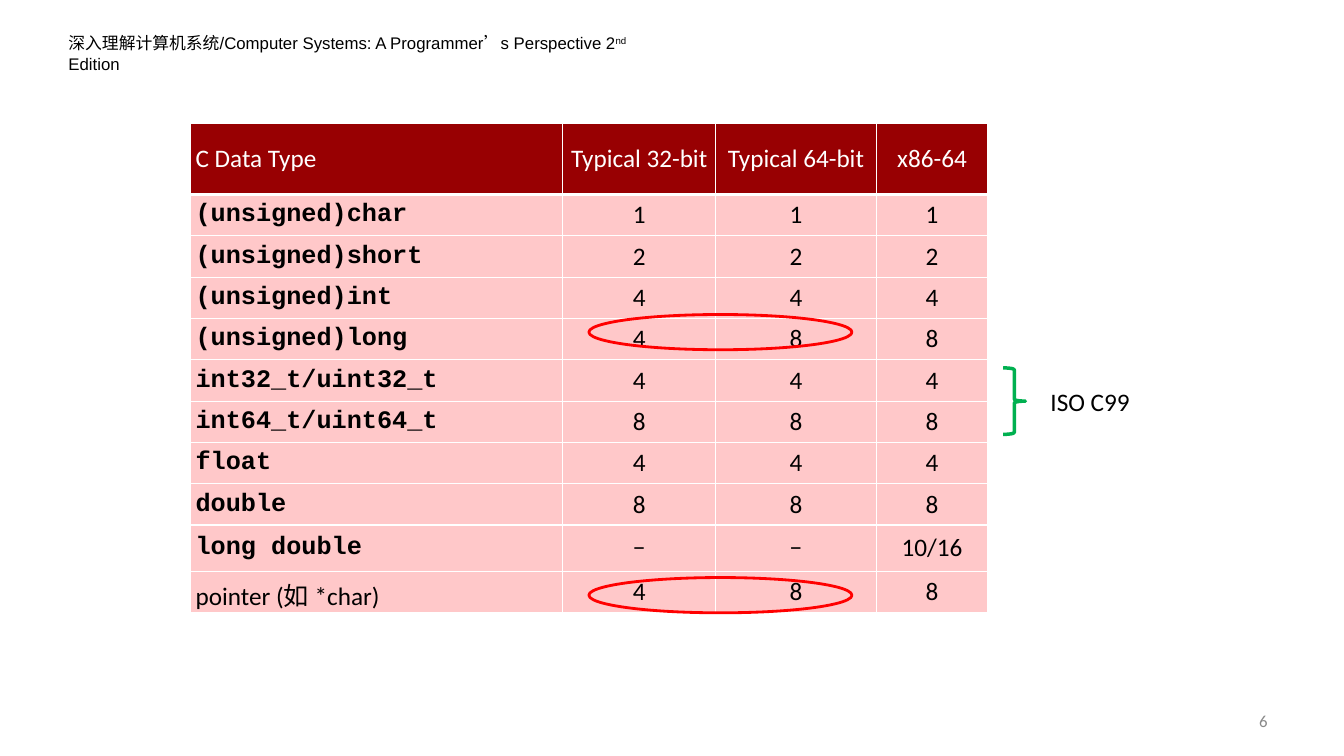
from lxml import etree
from pptx import Presentation
from pptx.dml.color import RGBColor
from pptx.enum.shapes import MSO_SHAPE
from pptx.enum.text import MSO_ANCHOR, PP_ALIGN
from pptx.oxml.ns import qn
from pptx.util import Inches, Pt

LEFT, CENTER, RIGHT = PP_ALIGN.LEFT, PP_ALIGN.CENTER, PP_ALIGN.RIGHT
MIDDLE, TOP = MSO_ANCHOR.MIDDLE, MSO_ANCHOR.TOP
OVAL, BRACE = MSO_SHAPE.OVAL, MSO_SHAPE.RIGHT_BRACE

BLACK = RGBColor(0x00, 0x00, 0x00)
WHITE = RGBColor(0xFF, 0xFF, 0xFF)
GRAY = RGBColor(0x89, 0x89, 0x89)
DARK_RED = RGBColor(0x98, 0x00, 0x02)
PINK = RGBColor(0xFF, 0xC8, 0xC9)
RED = RGBColor(0xFF, 0x00, 0x00)
GREEN = RGBColor(0x00, 0xB0, 0x50)

presentation = Presentation()
presentation.slide_width = Inches(13.33)
presentation.slide_height = Inches(7.5)
slide = presentation.slides.add_slide(presentation.slide_layouts[6])


def write(frame, text, size=18, font="Calibri", color=BLACK, bold=False,
          align=LEFT, superscript=False):
    """Append one formatted run to the first paragraph of a text frame."""
    frame.word_wrap = True
    paragraph = frame.paragraphs[0]
    paragraph.alignment = align
    run = paragraph.add_run()
    run.text = text
    run.font.size, run.font.name, run.font.bold = Pt(size), font, bold
    run.font.color.rgb = color
    properties = run.font._element
    properties.set("lang", "zh-CN")
    if superscript:
        properties.set("baseline", "30000")


def draw_border(cell, side, width):
    """Draw one white edge of a table cell."""
    properties = cell._tc.get_or_add_tcPr()
    line = etree.SubElement(properties, qn(f"a:{side}"), w=str(Pt(width)))
    fill = etree.SubElement(line, qn("a:solidFill"))
    etree.SubElement(fill, qn("a:srgbClr"), val=str(WHITE))


# Book title, side label and slide number
title, iso_label, page_number = [
    slide.shapes.add_textbox(*map(Inches, box)).text_frame
    for box in ((0.58, 0.28, 6.28, 0.3), (10.32, 3.78, 1.58, 0.4),
                (9.56, 6.95, 3.11, 0.4))
]
write(title, "深入理解计算机系统/Computer Systems: A Programmer’s Perspective 2",
      size=12, font="Arial")
write(title, "nd", size=12, font="Arial", superscript=True)
write(title, " Edition", size=12, font="Arial")
write(iso_label, "ISO C99")
page_number.vertical_anchor = MIDDLE
write(page_number, "6", size=12, color=GRAY, align=RIGHT)

# Data type sizes
rows = [
    ("C Data Type", "Typical 32-bit", "Typical 64-bit", "x86-64"),
    ("(unsigned)char", "1", "1", "1"),
    ("(unsigned)short", "2", "2", "2"),
    ("(unsigned)int", "4", "4", "4"),
    ("(unsigned)long", "4", "8", "8"),
    ("int32_t/uint32_t", "4", "4", "4"),
    ("int64_t/uint64_t", "8", "8", "8"),
    ("float", "4", "4", "4"),
    ("double", "8", "8", "8"),
    ("long double", "−", "−", "10/16"),
    ("pointer (如 *char)", "4", "8", "8"),
]
column_widths = [3.69, 1.52, 1.59, 1.11]
row_heights = [0.71] + [0.41] * 8 + [0.46, 0.41]
last_row = len(rows) - 1

table = slide.shapes.add_table(
    len(rows), len(column_widths), Inches(1.89), Inches(1.22),
    Inches(sum(column_widths)), Inches(sum(row_heights))).table
table.horz_banding = False
for column, width in zip(table.columns, column_widths):
    column.width = Inches(width)
for row, height in zip(table.rows, row_heights):
    row.height = Inches(height)

for row_index, values in enumerate(rows):
    is_header = row_index == 0
    for column_index, value in enumerate(values):
        cell = table.cell(row_index, column_index)
        cell.vertical_anchor = MIDDLE
        cell.margin_left = cell.margin_right = Inches(0.05)
        cell.margin_top = cell.margin_bottom = Inches(0.05)
        for side in ("lnL", "lnR", "lnT", "lnB"):
            is_header_rule = (row_index, side) in ((0, "lnB"), (1, "lnT"))
            draw_border(cell, side, 3 if is_header_rule else 1)
        cell.fill.solid()
        cell.fill.fore_color.rgb = DARK_RED if is_header else PINK
        is_code = column_index == 0 and 0 < row_index < last_row
        write(cell.text_frame, value, bold=is_code,
              font="Courier New" if is_code else "Calibri",
              color=WHITE if is_header else BLACK,
              align=CENTER if column_index else LEFT)

# Ellipses around the differing sizes, brace beside the fixed-width types
for kind, box, color, weight in (
        (OVAL, (5.84, 5.73, 2.61, 0.35), RED, 2),
        (OVAL, (5.84, 3.12, 2.61, 0.35), RED, 2),
        (BRACE, (9.95, 3.65, 0.22, 0.66), GREEN, 2.5)):
    shape = slide.shapes.add_shape(kind, *map(Inches, box))
    shape.shadow.inherit = False
    shape.fill.background()
    shape.line.color.rgb = color
    shape.line.width = Pt(weight)

presentation.save("out.pptx")
